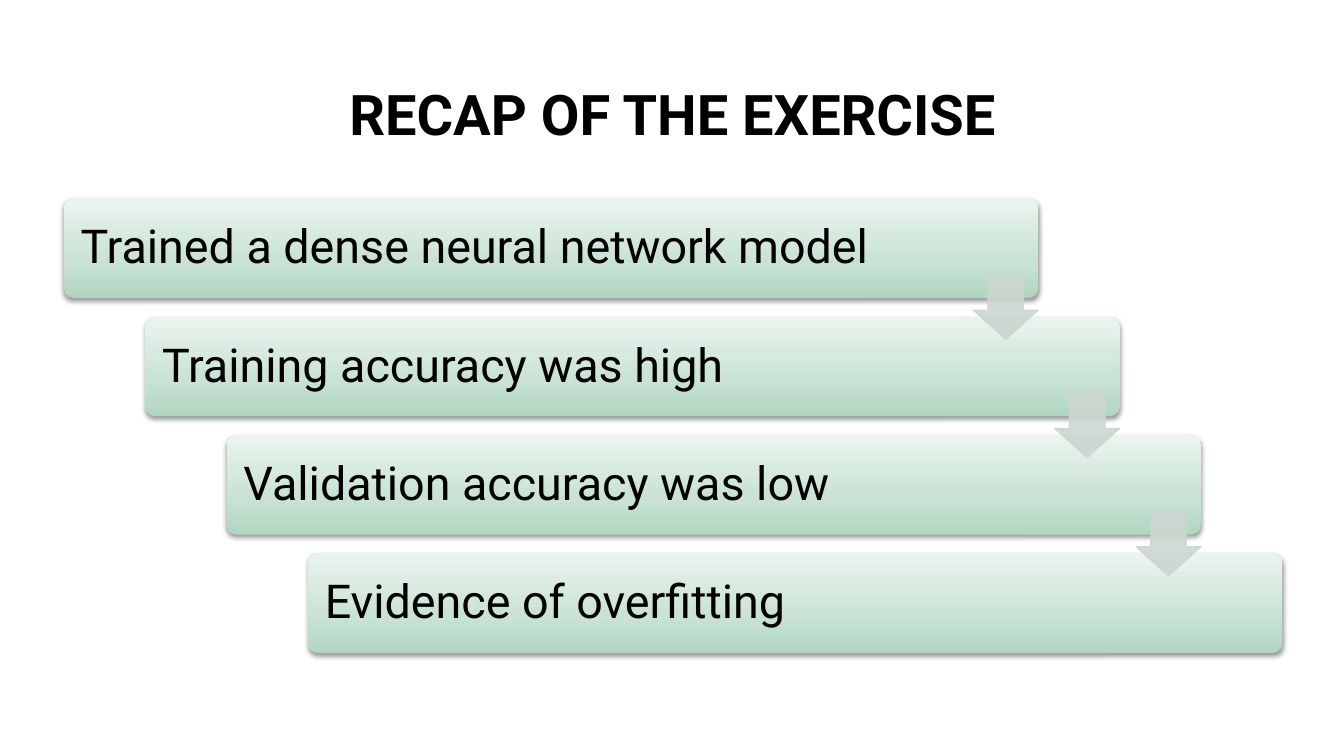
from lxml import etree
from pptx import Presentation
from pptx.dml.color import RGBColor
from pptx.enum.shapes import MSO_SHAPE
from pptx.enum.text import MSO_ANCHOR, PP_ALIGN
from pptx.oxml import parse_xml
from pptx.oxml.ns import nsdecls, qn
from pptx.util import Inches, Pt

FONT = "Roboto"
BLACK = "000000"
ARROW_GREY = "CCD6D0"
CARD_STOPS = [(0, "B0D6C1"), (35, "C8E2D3"), (100, "EAF4EE")]
STEPS = [
    "Trained a dense neural network model",
    "Training accuracy was high",
    "Validation accuracy was low",
    "Evidence of overfitting",
]


def color(value):
    return RGBColor.from_string(value)


def add_text(shapes, box, text, size, anchor, inset, bold=False, align=PP_ALIGN.LEFT):
    frame = shapes.add_textbox(*map(Inches, box)).text_frame
    frame.word_wrap = True
    frame.vertical_anchor = anchor
    frame.margin_left = frame.margin_right = Inches(inset)
    frame.margin_top = frame.margin_bottom = Inches(inset)
    para = frame.paragraphs[0]
    para.text = text
    para.alignment = align
    para.line_spacing = 0.9
    para.font.name = FONT
    para.font.size = Pt(size)
    para.font.bold = bold
    para.font.color.rgb = color(BLACK)


def add_gradient_and_shadow(shape):
    """Give the shape a vertical three-stop gradient and a soft shadow below."""
    stops = "".join(
        f'<a:gs pos="{place * 1000}"><a:srgbClr val="{value}"/></a:gs>'
        for place, value in CARD_STOPS
    )
    gradient = parse_xml(
        f'<a:gradFill {nsdecls("a")} rotWithShape="1"><a:gsLst>{stops}</a:gsLst>'
        '<a:lin ang="16200000" scaled="0"/></a:gradFill>'
    )
    effects = parse_xml(
        f'<a:effectLst {nsdecls("a")}><a:outerShdw blurRad="{Pt(3.1)}" '
        f'dist="{Pt(1.6)}" dir="5400000" rotWithShape="0">'
        f'<a:srgbClr val="{BLACK}"><a:alpha val="38000"/></a:srgbClr>'
        "</a:outerShdw></a:effectLst>"
    )
    properties = shape._element.spPr
    properties.find(qn("a:prstGeom")).addnext(gradient)
    properties.append(effects)


def add_card(shapes, box, text):
    left, top, width, height = box
    card = shapes.add_shape(MSO_SHAPE.ROUNDED_RECTANGLE, *map(Inches, box))
    card.adjustments[0] = 0.1
    card.line.fill.background()
    add_gradient_and_shadow(card)
    text_box = (left + 0.03, top + 0.03, width - 1.04, height - 0.05)
    add_text(shapes, text_box, text, 30, MSO_ANCHOR.MIDDLE, 0.12)


def add_down_arrow(shapes, box):
    arrow = shapes.add_shape(MSO_SHAPE.DOWN_ARROW, *map(Inches, box))
    arrow.shadow.inherit = False
    arrow.adjustments[0] = 0.55
    arrow.adjustments[1] = 0.45
    arrow.line.width = Pt(0.75)
    for fill in (arrow.fill, arrow.line.fill):
        fill.solid()
        fill.fore_color.rgb = color(ARROW_GREY)
    for tone in arrow._element.spPr.iter(qn("a:srgbClr")):
        etree.SubElement(tone, qn("a:alpha"), val="90000")


def add_staircase(page, box, steps):
    """Spread cards evenly down the box's diagonal, with an arrow at each step."""
    left, top, width, height = box
    card_width, card_height, arrow_size = 8.7, 0.89, 0.58
    step_x = (width - card_width) / (len(steps) - 1)
    step_y = (height - card_height) / (len(steps) - 1)
    corners = [(left + i * step_x, top + i * step_y) for i in range(len(steps))]
    shapes = page.shapes.add_group_shape().shapes
    for (x, y), text in zip(corners, steps):
        add_card(shapes, (x, y, card_width, card_height), text)
    for x, y in corners[:-1]:
        arrow_left = x + card_width - arrow_size
        add_down_arrow(shapes, (arrow_left, y + 0.68, arrow_size, arrow_size))


def main():
    deck = Presentation()
    deck.slide_width = Inches(12)
    deck.slide_height = Inches(6.75)
    page = deck.slides.add_slide(deck.slide_layouts[6])
    add_text(page.shapes, (0.55, 0.72, 10.91, 0.65), "RECAP OF THE EXERCISE",
             36, MSO_ANCHOR.BOTTOM, 0.05, bold=True, align=PP_ALIGN.CENTER)
    add_staircase(page, (0.57, 1.77, 10.88, 4.06), STEPS)
    deck.save("out.pptx")


if __name__ == "__main__":
    main()
